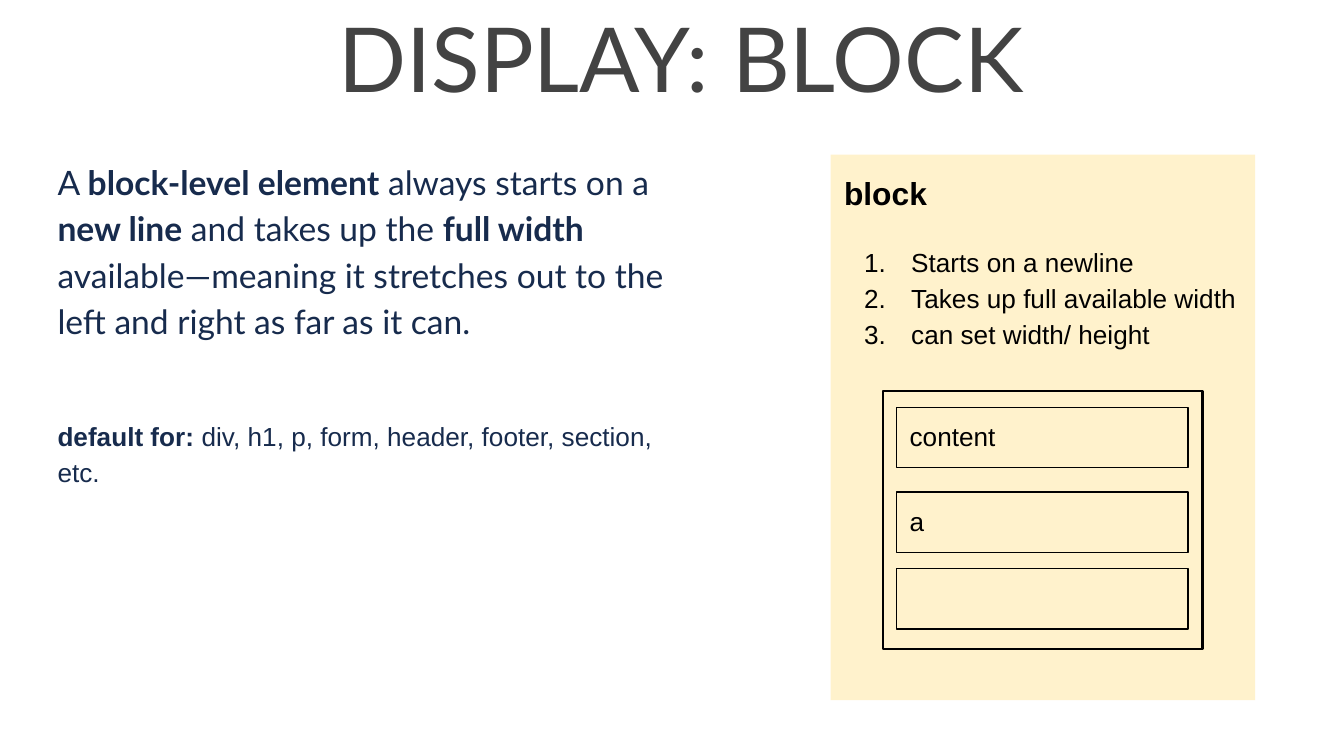
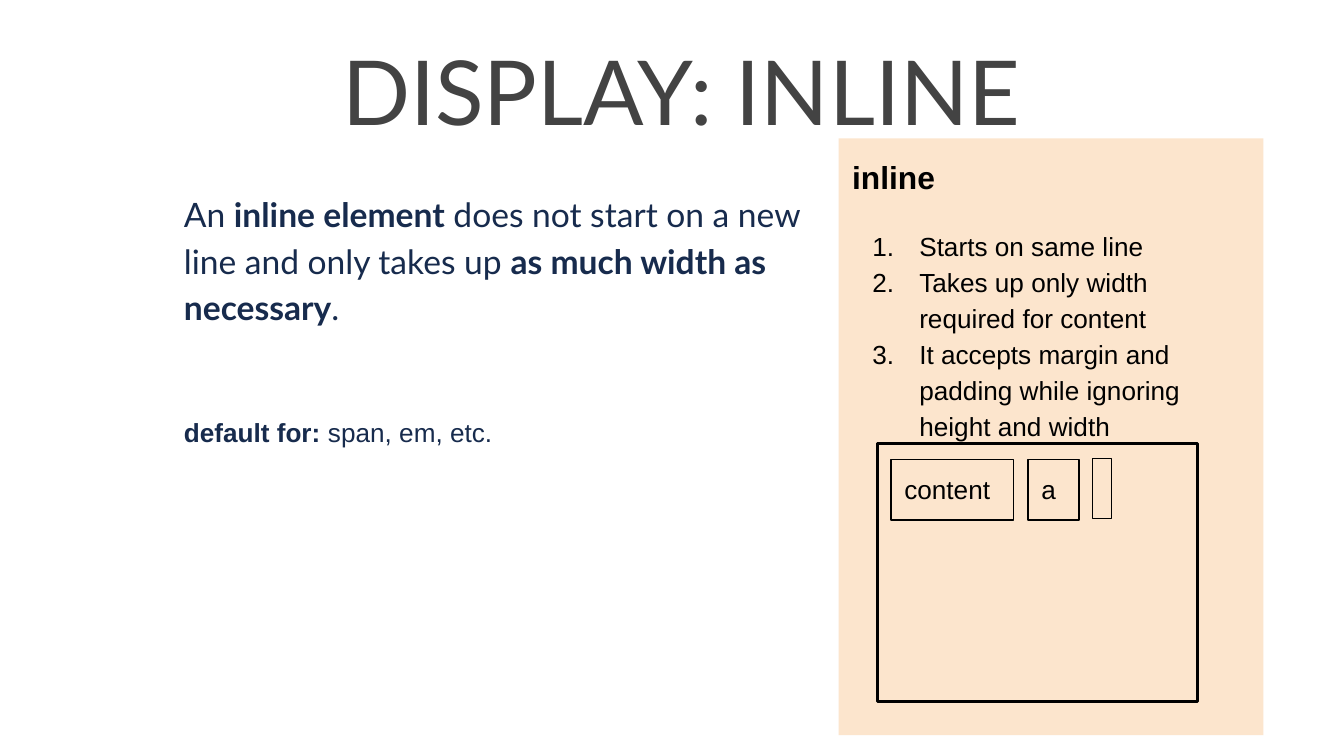
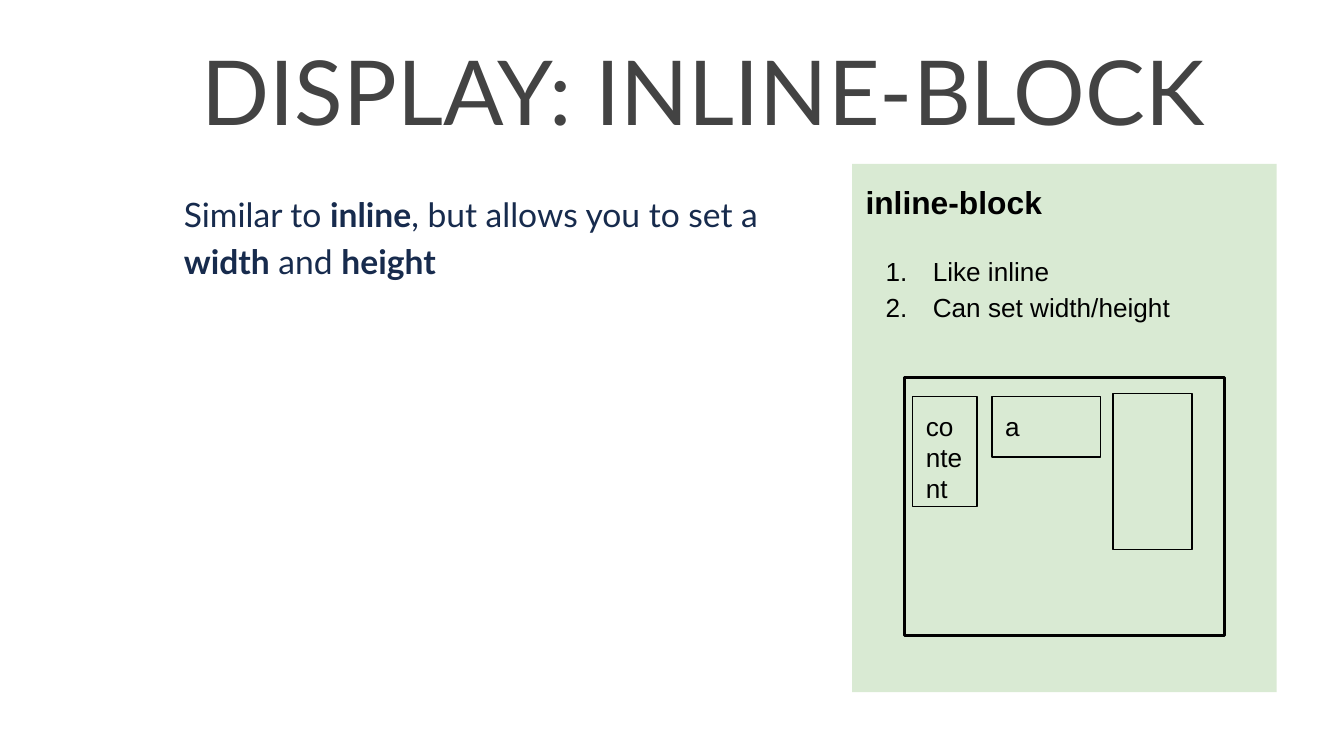
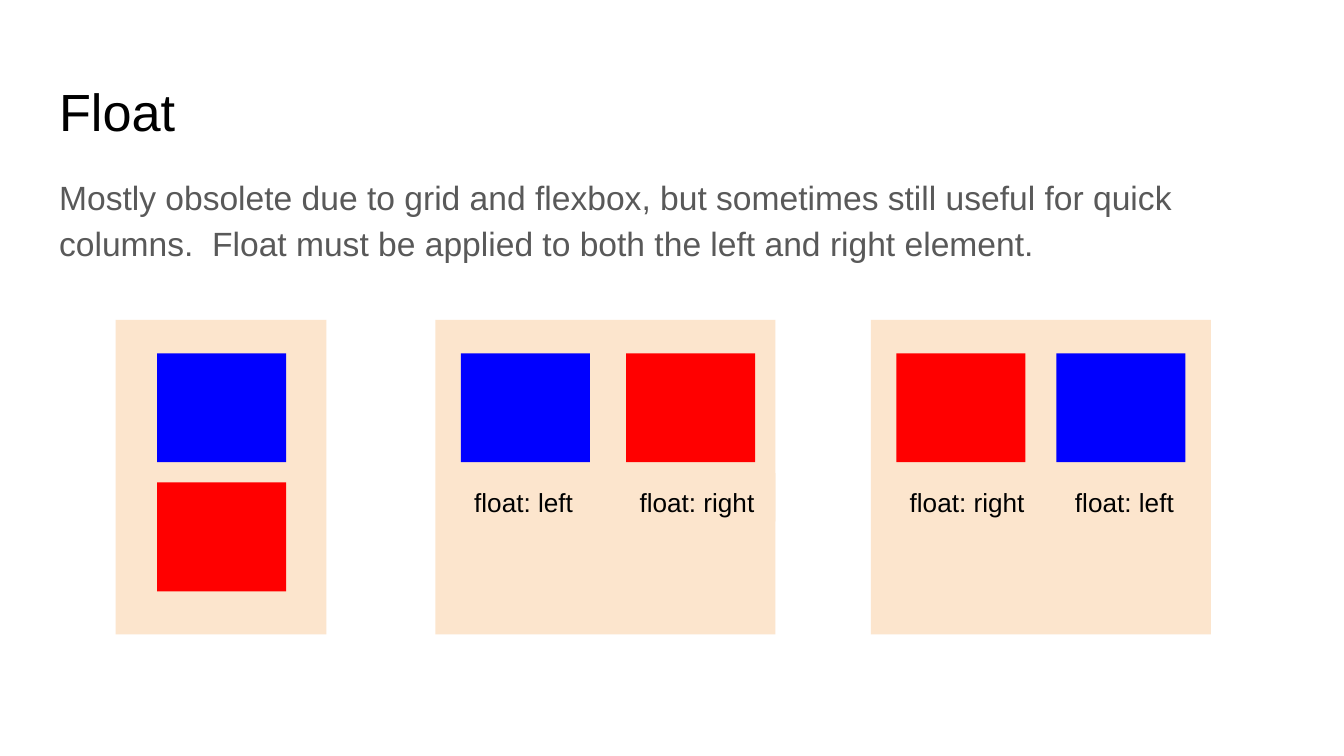
from pptx import Presentation
from pptx.dml.color import RGBColor
from pptx.enum.shapes import MSO_SHAPE
from pptx.enum.text import MSO_ANCHOR, MSO_AUTO_SIZE, PP_ALIGN
from pptx.oxml.ns import qn
from pptx.util import Inches, Pt
from lxml.etree import SubElement

BLACK = RGBColor(0x00, 0x00, 0x00)
CHARCOAL = RGBColor(0x43, 0x43, 0x43)
GRAY = RGBColor(0x59, 0x59, 0x59)
NAVY = RGBColor(0x17, 0x2B, 0x4D)
CREAM = RGBColor(0xFF, 0xF2, 0xCC)
PEACH = RGBColor(0xFC, 0xE5, 0xCD)
MINT = RGBColor(0xD9, 0xEA, 0xD3)
BLUE = RGBColor(0x00, 0x00, 0xFF)
RED = RGBColor(0xFF, 0x00, 0x00)

SLIDE_WIDTH = Inches(10)
SLIDE_HEIGHT = SLIDE_WIDTH * 9 // 16

HEADLINE = {"name": "Lato", "size": Pt(48)}
LEAD = {"name": "Lato", "size": Pt(18)}
HEADING = {"name": "Arial", "size": Pt(28)}
BODY = {"name": "Arial", "size": Pt(18)}
PANEL_NAME = {"name": "Arial", "size": Pt(17), "bold": True}
SMALL = {"name": "Arial", "size": Pt(14)}
FRAME = {"word_wrap": True, "auto_size": MSO_AUTO_SIZE.NONE, "vertical_anchor": MSO_ANCHOR.TOP,
         "margin_left": Inches(0.1), "margin_right": Inches(0.1),
         "margin_top": Inches(0.1), "margin_bottom": Inches(0.1)}
FLUSH = {"marL": "0", "indent": "0"}
HANGING = {"marL": str(Inches(0.5)), "indent": str(Inches(-0.35))}

DISPLAY_SLIDES = [
    {"title": "DISPLAY: BLOCK", "title_at": (1.22, -0.08, 7.7, 1.98),
     "text_at": (0.33, 1.06, 4.93, 3.28),
     "lead": "A **block-level element** always starts on a **new line** and takes up the "
             "**full width** available—meaning it stretches out to the left and right "
             "as far as it can.",
     "default": "**default for:** div, h1, p, form, header, footer, section, etc.",
     "default_gap": 40,
     "panel": "block", "panel_at": (6.18, 1.15, 3.16, 4.06), "color": CREAM,
     "rules": ["Starts on a newline", "Takes up full available width", "can set width/ height"],
     "container": (6.57, 2.91),
     "boxes": [("content", (6.67, 3.03, 2.17, 0.45)), ("a", (6.67, 3.66, 2.17, 0.45)),
               ("", (6.67, 4.23, 2.17, 0.45))]},
    {"title": "DISPLAY: INLINE", "title_at": (1.22, 0.17, 7.7, 1.98),
     "text_at": (1.27, 1.3, 4.86, 3.28),
     "lead": "An **inline element** does not start on a new line and only takes up "
             "**as much width as necessary**.",
     "default": "**default for:** span, em, etc.",
     "default_gap": 45,
     "panel": "inline", "panel_at": (6.24, 1.03, 3.16, 4.44), "color": PEACH,
     "rules": ["Starts on same line", "Takes up only width required for content",
               "It accepts margin and padding while ignoring height and width"],
     "container": (6.53, 3.3),
     "boxes": [("content", (6.63, 3.42, 0.91, 0.45)), ("a", (7.65, 3.42, 0.38, 0.45)),
               ("", (8.13, 3.41, 0.14, 0.45))]},
    {"title": "DISPLAY: INLINE-BLOCK", "title_at": (1.22, 0.17, 8.03, 1.98),
     "text_at": (1.27, 1.3, 5, 3.28),
     "lead": "Similar to **inline**, but allows you to set a **width** and **height**",
     "default": "", "default_gap": 0,
     "panel": "inline-block", "panel_at": (6.34, 1.22, 3.16, 3.93), "color": MINT,
     "rules": ["Like inline", "Can set width/height"],
     "container": (6.73, 2.81),
     "boxes": [("content", (6.79, 2.95, 0.48, 0.82)), ("a", (7.38, 2.95, 0.81, 0.45)),
               ("", (8.28, 2.93, 0.59, 1.16))]},
]

FLOAT_PANELS = [
    (0.86, 1.57, [(1.17, 2.63, BLUE), (1.17, 3.59, RED)], []),
    (3.24, 2.53, [(3.43, 2.63, BLUE), (4.66, 2.63, RED)],
     [("float: left", 3.43, 0.96), ("float: right", 4.66, 1.11)]),
    (6.48, 2.53, [(7.86, 2.63, BLUE), (6.67, 2.63, RED)],
     [("float: right", 6.67, 1.11), ("float: left", 7.9, 1.11)]),
]


def apply(target, values):
    """Set each named attribute of the target."""
    for name, value in values.items():
        setattr(target, name, value)


def place(sp, at):
    """Move and size a shape, in inches."""
    apply(sp, dict(zip(("left", "top", "width", "height"), map(Inches, at))))


def write(p, text, font, color, before=0, spacing=1.0, align=PP_ALIGN.LEFT):
    """Fill a paragraph, with **marked** parts in bold."""
    apply(p, {"space_before": Pt(before), "line_spacing": spacing, "alignment": align})
    for i, part in enumerate(text.split("**")):
        if part:
            r = p.add_run()
            r.text = part
            apply(r.font, {"bold": i % 2 == 1, **font})
            r.font.color.rgb = color


def set_bullet(p, numbered=False):
    """Number a paragraph with a hanging indent, or make it plain."""
    pPr = p._p.get_or_add_pPr()
    for name, value in (HANGING if numbered else FLUSH).items():
        pPr.set(name, value)
    if numbered:
        clr = SubElement(pPr, qn("a:buClr"))
        SubElement(clr, qn("a:srgbClr"), val=str(BLACK))
        SubElement(pPr, qn("a:buAutoNum"), type="arabicPeriod")
    else:
        SubElement(pPr, qn("a:buNone"))


def prepare(sp, at):
    """Place a text shape and return its formatted frame."""
    place(sp, at)
    apply(sp.text_frame, FRAME)
    return sp.text_frame


def add_title(s, text, at, font, color, align):
    """Fill the title placeholder."""
    tf = prepare(s.shapes.title, at)
    write(tf.paragraphs[0], text, font, color, align=align)


def add_rect(s, at, fill=None, line=None, text=""):
    """Add a filled or outlined rectangle, with an optional label."""
    sp = s.shapes.add_shape(MSO_SHAPE.RECTANGLE, *map(Inches, at))
    sp.shadow.inherit = False
    if fill is None:
        sp.fill.background()
    else:
        sp.fill.solid()
        sp.fill.fore_color.rgb = fill
    if line is None:
        sp.line.fill.background()
    else:
        sp.line.color.rgb = BLACK
        sp.line.width = Pt(line)
    if text:
        apply(sp.text_frame, FRAME)
        write(sp.text_frame.paragraphs[0], text, SMALL, BLACK)


def add_explanation(s, at, lead, default, gap):
    """Add the definition and the elements it is the default for."""
    tf = prepare(s.shapes.add_textbox(0, 0, 0, 0), at)
    write(tf.paragraphs[0], lead, LEAD, NAVY, spacing=1.15)
    if default:
        write(tf.add_paragraph(), default, SMALL, NAVY, before=gap, spacing=1.15)


def add_panel(s, at, color, name, rules):
    """Turn the body placeholder into a coloured panel of numbered rules."""
    sp = s.placeholders[1]
    tf = prepare(sp, at)
    sp.fill.solid()
    sp.fill.fore_color.rgb = color
    p = tf.paragraphs[0]
    set_bullet(p)
    write(p, name, PANEL_NAME, BLACK, spacing=1.15)
    for i, rule in enumerate(rules):
        p = tf.add_paragraph()
        set_bullet(p, numbered=True)
        write(p, rule, SMALL, BLACK, before=0 if i else 16, spacing=1.15)


def add_display_slide(prs, d):
    """Add a slide on one display value."""
    s = prs.slides.add_slide(prs.slide_layouts[1])
    add_title(s, d["title"], d["title_at"], HEADLINE, CHARCOAL, PP_ALIGN.CENTER)
    add_explanation(s, d["text_at"], d["lead"], d["default"], d["default_gap"])
    add_panel(s, d["panel_at"], d["color"], d["panel"], d["rules"])
    add_rect(s, (*d["container"], 2.38, 1.92), line=1.5)
    for text, at in d["boxes"]:
        add_rect(s, at, line=0.75, text=text)


def add_float_slide(prs):
    """Add the slide that compares float arrangements."""
    s = prs.slides.add_slide(prs.slide_layouts[1])
    add_title(s, "Float", (0.34, 0.49, 9.32, 0.63), HEADING, BLACK, PP_ALIGN.LEFT)
    p = prepare(s.placeholders[1], (0.34, 1.17, 9.02, 0.76)).paragraphs[0]
    set_bullet(p)
    write(p, "Mostly obsolete due to grid and flexbox, but sometimes still useful for quick "
             "columns.  Float must be applied to both the left and right element.",
          BODY, GRAY, spacing=1.15)
    for left, width, blocks, labels in FLOAT_PANELS:
        add_rect(s, (left, 2.38, width, 2.34), fill=PEACH)
        for x, y, color in blocks:
            add_rect(s, (x, y, 0.96, 0.81), fill=color)
        for text, x, w in labels:
            add_rect(s, (x, 3.52, w, 0.36), fill=PEACH, text=text)


def main():
    """Build the deck."""
    prs = Presentation()
    apply(prs, {"slide_width": SLIDE_WIDTH, "slide_height": SLIDE_HEIGHT})
    for d in DISPLAY_SLIDES:
        add_display_slide(prs, d)
    add_float_slide(prs)
    prs.save("out.pptx")


if __name__ == "__main__":
    main()
